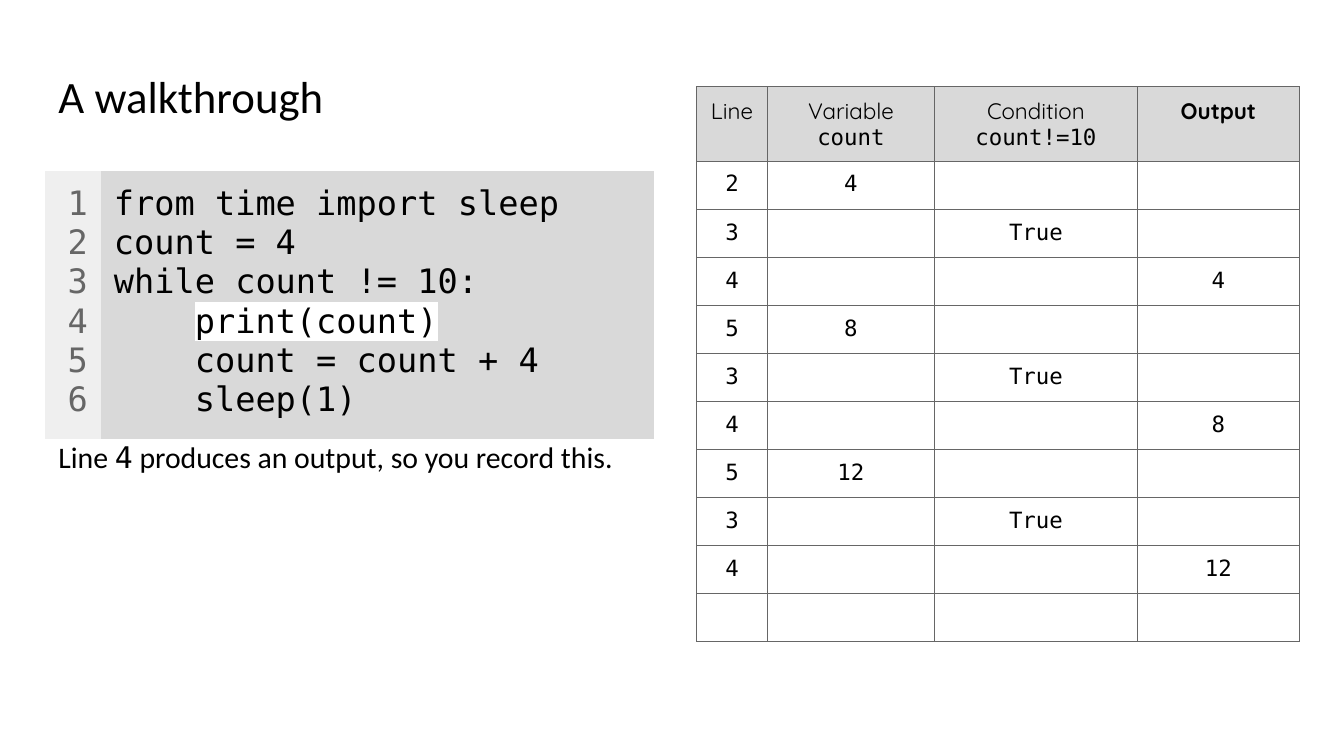
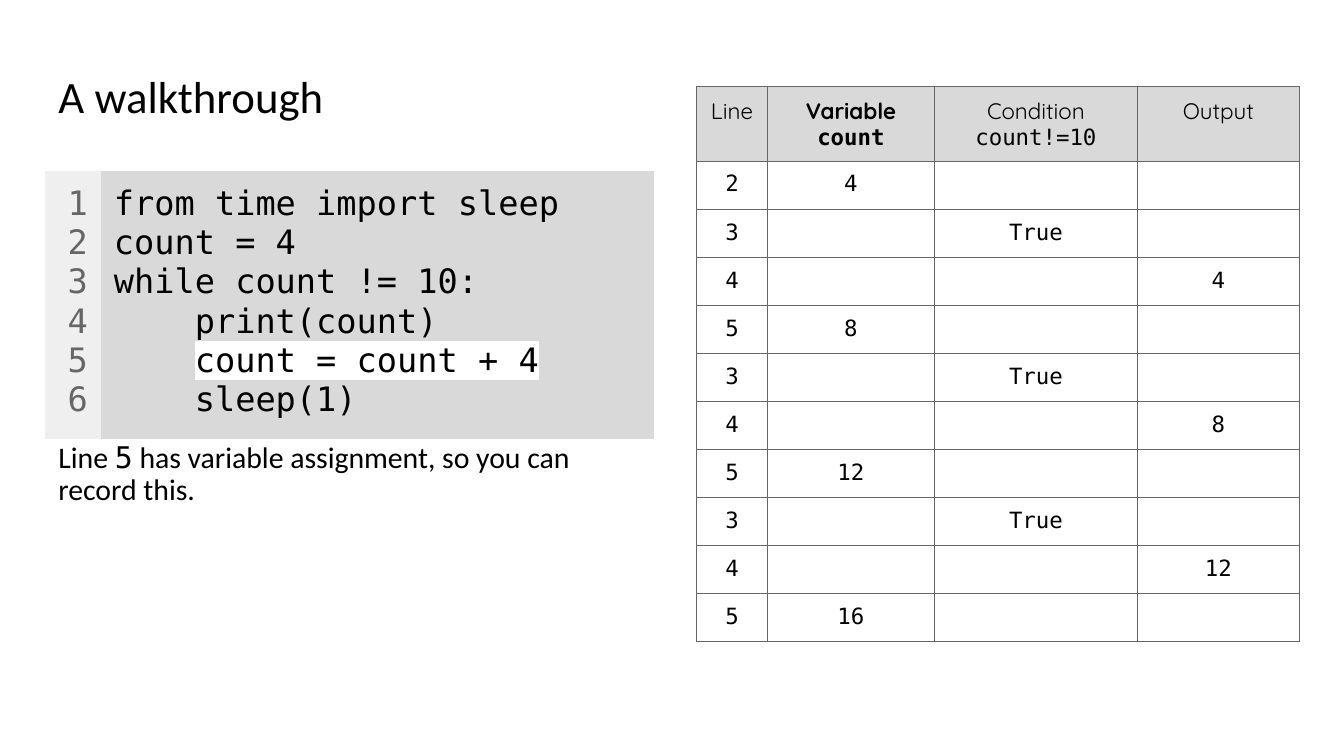
from lxml.etree import SubElement
from pptx import Presentation
from pptx.dml.color import RGBColor
from pptx.enum.text import MSO_ANCHOR, MSO_AUTO_SIZE, PP_ALIGN
from pptx.oxml.ns import qn
from pptx.util import Inches, Pt

COLORS = {"text": "000000", "number": "666666", "gutter": "EFEFEF",
          "panel": "D9D9D9", "highlight": "FFFFFF", "border": "666666"}
SANS, MONO, HEADING = "Calibri", "DejaVu Sans Mono", "Quicksand"
PLAIN_TABLE = "{2D5ABB26-0587-4C30-8999-92F81FD0307C}"

TITLE = "A walkthrough"
CODE = ["from time import sleep", "count = 4", "while count != 10:",
        "    print(count)", "    count = count + 4", "    sleep(1)"]
HEADERS = [("Line",), ("Variable", "count"), ("Condition", "count!=10"), ("Output",)]
TRACE = [("2", "4", "", ""), ("3", "", "True", ""), ("4", "", "", "4"),
         ("5", "8", "", ""), ("3", "", "True", ""), ("4", "", "", "8"),
         ("5", "12", "", ""), ("3", "", "True", ""), ("4", "", "", "12"),
         ("5", "16", "", "")]
STEPS = [
    {"line": 4, "remark": " produces an output, so you record this.",
     "bold": "Output", "recorded": 9},
    {"line": 5, "remark": " has variable assignment, so you can record this.",
     "bold": "Variable", "recorded": 10},
]

LEFT = 0.45
PADDING, CELL_PADDING = 0.13, 0.1
CODE_TOP, CODE_HEIGHT, CODE_COLUMNS = 1.7, 2.66, (0.55, 5.49)
TRACE_LEFT, TRACE_TOP, TRACE_HEIGHT = 6.91, 0.86, 5.51
TRACE_COLUMNS, HEADER_HEIGHT = (0.7, 1.66, 2.01, 1.61), 0.74


def rgb(name):
    return RGBColor.from_string(COLORS[name])


def style(paragraph, font, size, color="text", align=PP_ALIGN.LEFT, bold=False):
    paragraph.alignment = align
    paragraph.font.name = font
    paragraph.font.size = Pt(size)
    paragraph.font.bold = bold
    paragraph.font.color.rgb = rgb(color)


def pad(area, inset):
    area.margin_left = area.margin_right = Inches(inset)
    area.margin_top = area.margin_bottom = Inches(inset)


def add_plain_table(slide, left, top, widths, heights):
    frame = slide.shapes.add_table(
        len(heights), len(widths), Inches(left), Inches(top),
        Inches(sum(widths)), Inches(sum(heights)))
    table = frame.table
    table.first_row = table.horz_banding = False
    table._tbl.tblPr.find(qn("a:tableStyleId")).text = PLAIN_TABLE
    for column, width in zip(table.columns, widths):
        column.width = Inches(width)
    for row, height in zip(table.rows, heights):
        row.height = Inches(height)
    return table


def fill_cell(cell, inset, color=None):
    pad(cell, inset)
    if color:
        cell.fill.solid()
        cell.fill.fore_color.rgb = rgb(color)
    else:
        cell.fill.background()


def add_borders(cell):
    properties = cell._tc.get_or_add_tcPr()
    for position, side in enumerate(("lnL", "lnR", "lnT", "lnB")):
        line = properties.makeelement(qn(f"a:{side}"), {"w": str(Pt(0.75))})
        properties.insert(position, line)
        paint = SubElement(line, qn("a:solidFill"))
        SubElement(paint, qn("a:srgbClr"), val=COLORS["border"])


def highlight(run):
    mark = SubElement(run._r.get_or_add_rPr(), qn("a:highlight"))
    SubElement(mark, qn("a:srgbClr"), val=COLORS["highlight"])


def add_title(slide):
    title = slide.shapes.title
    title.left, title.top = Inches(LEFT), Inches(0.47)
    title.width, title.height = Inches(12.43), Inches(1.02)
    frame = title.text_frame
    frame.text = TITLE
    frame.auto_size = MSO_AUTO_SIZE.NONE
    frame.vertical_anchor = MSO_ANCHOR.MIDDLE
    pad(frame, PADDING)
    style(frame.paragraphs[0], SANS, 32)
    frame.paragraphs[0].line_spacing = 0.9


def add_code(slide, current):
    table = add_plain_table(slide, LEFT, CODE_TOP, CODE_COLUMNS, [CODE_HEIGHT])
    gutter, listing = table.cell(0, 0), table.cell(0, 1)
    fill_cell(gutter, PADDING, "gutter")
    fill_cell(listing, PADDING, "panel")
    gutter.text = "\n".join(str(n) for n in range(1, len(CODE) + 1))
    for paragraph in gutter.text_frame.paragraphs:
        style(paragraph, MONO, 24, "number", PP_ALIGN.RIGHT)
    listing.text = "\n".join(CODE)
    for number, paragraph in enumerate(listing.text_frame.paragraphs, 1):
        style(paragraph, MONO, 24)
        if number == current:
            indent = paragraph.runs[0]
            statement = paragraph.add_run()
            statement.text = indent.text.lstrip()
            indent.text = indent.text[:-len(statement.text)]
            highlight(statement)


def add_remark(slide, step):
    box = slide.shapes.add_textbox(Inches(LEFT), Inches(4.26), Inches(5.97), Inches(2.11))
    frame = box.text_frame
    frame.word_wrap = True
    pad(frame, PADDING)
    paragraph = frame.paragraphs[0]
    style(paragraph, SANS, 21.3)
    paragraph.line_spacing = 0.9
    for text, font in (("Line ", SANS), (str(step["line"]), MONO), (step["remark"], SANS)):
        run = paragraph.add_run()
        run.text = text
        run.font.name = font


def add_trace(slide, step):
    row_height = (TRACE_HEIGHT - HEADER_HEIGHT) / len(TRACE)
    table = add_plain_table(slide, TRACE_LEFT, TRACE_TOP, TRACE_COLUMNS,
                            [HEADER_HEIGHT] + [row_height] * len(TRACE))
    for column, header in enumerate(HEADERS):
        cell = table.cell(0, column)
        fill_cell(cell, CELL_PADDING, "panel")
        add_borders(cell)
        cell.text = "\n".join(header)
        for paragraph, font in zip(cell.text_frame.paragraphs, (HEADING, MONO)):
            style(paragraph, font, 16, align=PP_ALIGN.CENTER,
                  bold=header[0] == step["bold"])
    for row, values in enumerate(TRACE, 1):
        for column, value in enumerate(values):
            cell = table.cell(row, column)
            fill_cell(cell, CELL_PADDING)
            add_borders(cell)
            paragraph = cell.text_frame.paragraphs[0]
            style(paragraph, MONO, 16, align=PP_ALIGN.CENTER)
            if value and row <= step["recorded"]:
                paragraph.add_run().text = value
            else:
                SubElement(paragraph._p, qn("a:endParaRPr"), sz="1600")


def main():
    deck = Presentation()
    deck.slide_width, deck.slide_height = Inches(13.33), Inches(7.5)
    for step in STEPS:
        slide = deck.slides.add_slide(deck.slide_layouts[5])
        add_title(slide)
        add_code(slide, step["line"])
        add_remark(slide, step)
        add_trace(slide, step)
    deck.save("out.pptx")


if __name__ == "__main__":
    main()
